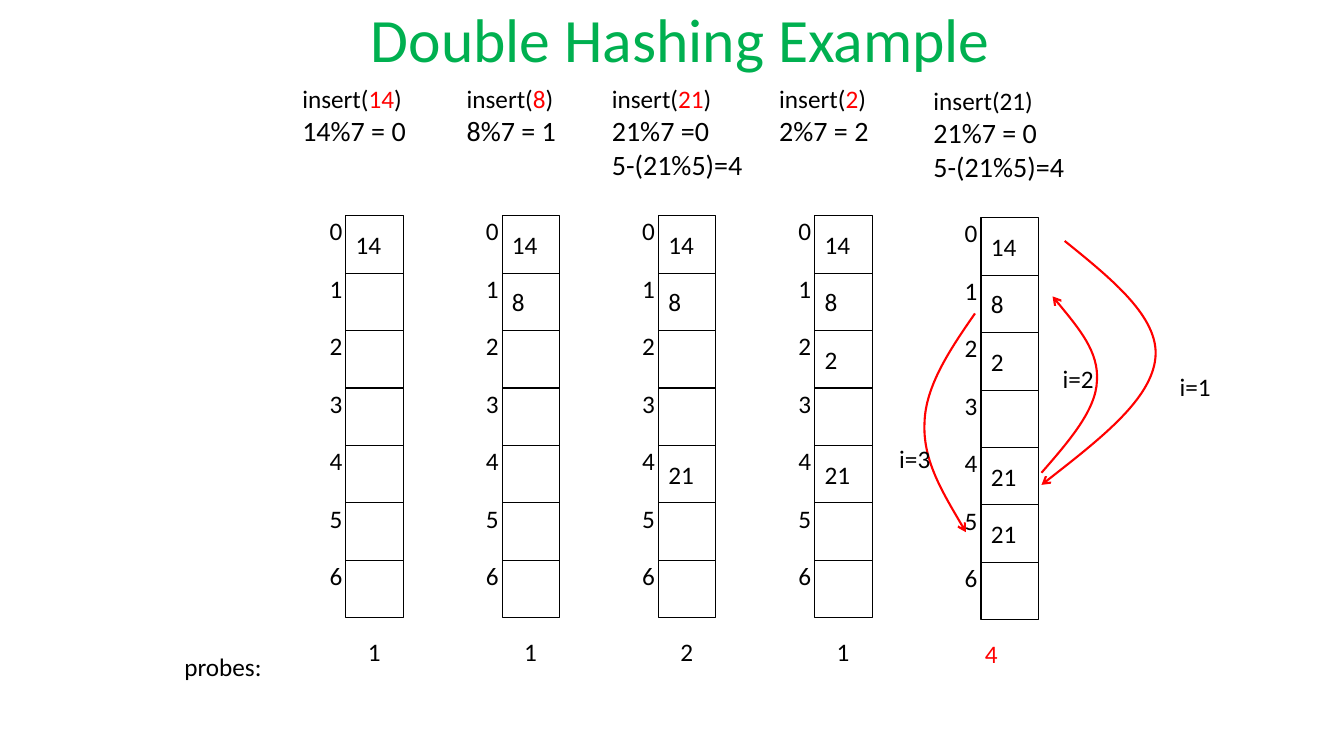
from lxml import etree
from pptx import Presentation
from pptx.dml.color import RGBColor
from pptx.enum.shapes import MSO_SHAPE
from pptx.enum.text import MSO_ANCHOR, MSO_AUTO_SIZE, PP_ALIGN
from pptx.oxml.ns import qn
from pptx.util import Inches, Pt

RECTANGLE = MSO_SHAPE.RECTANGLE
MIDDLE = MSO_ANCHOR.MIDDLE
CENTER, LEFT = PP_ALIGN.CENTER, PP_ALIGN.LEFT
NO_AUTOFIT, FIT_SHAPE = MSO_AUTO_SIZE.NONE, MSO_AUTO_SIZE.SHAPE_TO_FIT_TEXT

COLORS = {"title": "00B050", "text": "000000", "accent": "FF0000"}
FONT = "Calibri"
CELL = 0.57
ROWS = 7
FIRST_LEFT, COLUMN_PITCH = 3.43, 1.55
TABLE_TOP = 2.14
LABEL_WIDTH, LABEL_HEIGHT = 0.33, 0.4


def format_text(paragraph, size, color):
    for run in paragraph.runs:
        run.font.name = FONT
        run.font.size = Pt(size)
        run.font.color.rgb = RGBColor.from_string(COLORS[color])


def add_label(left, top, width, text, color="text"):
    label = slide.shapes.add_textbox(Inches(left), Inches(top), Inches(width), Inches(LABEL_HEIGHT))
    label.text_frame.text = text
    label.text_frame.word_wrap = False
    label.text_frame.auto_size = FIT_SHAPE
    for paragraph in label.text_frame.paragraphs:
        format_text(paragraph, 18, color)
    return label


presentation = Presentation()
presentation.slide_width = Inches(13.33)
presentation.slide_height = Inches(7.5)
slide = presentation.slides.add_slide(presentation.slide_layouts[5])

title = slide.shapes.title
title.left, title.top, title.width, title.height = Inches(2.5), 0, Inches(8.5), Inches(0.84)
title.text_frame.text = "Double Hashing Example"
title.text_frame.auto_size = NO_AUTOFIT
title.text_frame.vertical_anchor = MIDDLE
title.text_frame.paragraphs[0].alignment = CENTER
title.text_frame.paragraphs[0].line_spacing = 0.9
format_text(title.text_frame.paragraphs[0], 44, "title")

add_label(1.73, 6.41, 0.98, "probes:")

last_left = 9.73
lefts = [FIRST_LEFT + column * COLUMN_PITCH for column in range(4)] + [last_left]
steps = [
    ("14", ["14%7 = 0"], 2.9, 1.24, {0: 14}, "1"),
    ("8", ["8%7 = 1"], 4.53, 1.09, {0: 14, 1: 8}, "1"),
    ("21", ["21%7 =0", "5-(21%5)=4"], 5.97, 1.51, {0: 14, 1: 8, 4: 21}, "2"),
    ("2", ["2%7 = 2"], 7.63, 1.09, {0: 14, 1: 8, 2: 2, 4: 21}, "1"),
    ("21", ["21%7 = 0", "5-(21%5)=4"], 9.16, 1.51, {0: 14, 1: 8, 2: 2, 4: 21, 5: 21}, "4"),
]

for left, (key, formulas, header_left, header_width, values, probes) in zip(lefts, steps):
    is_last = left == last_left
    drop = 0.02 if is_last else 0
    top = TABLE_TOP + drop

    header = add_label(header_left, 0.78 + drop, header_width, "")
    insert_line = header.text_frame.paragraphs[0]
    for part in ("insert(", key, ")"):
        insert_line.add_run().text = part
    format_text(insert_line, 18, "text")
    if not is_last:
        insert_line.runs[1].font.color.rgb = RGBColor.from_string(COLORS["accent"])
    for formula in formulas:
        paragraph = header.text_frame.add_paragraph()
        paragraph.text = formula
        format_text(paragraph, 20, "text")

    for row in range(ROWS):
        row_top = top + row * CELL
        cell = slide.shapes.add_shape(RECTANGLE, Inches(left), Inches(row_top), Inches(CELL), Inches(CELL))
        cell.shadow.inherit = False
        cell.fill.background()
        cell.line.color.rgb = RGBColor.from_string(COLORS["text"])
        cell.line.width = Pt(0.75)
        cell.text_frame.text = str(values.get(row, ""))
        cell.text_frame.word_wrap = False
        cell.text_frame.vertical_anchor = MIDDLE
        cell.text_frame.paragraphs[0].alignment = LEFT
        format_text(cell.text_frame.paragraphs[0], 18, "text")
        add_label(left - 0.26, row_top - 0.05, LABEL_WIDTH, str(row))

    probes_left = left - 0.06 if is_last else left + 0.12
    add_label(probes_left, 6.26 + drop, LABEL_WIDTH, probes, "accent" if is_last else "text")

probe_curves = [
    [(10.56, 2.39), (11.03, 2.77), (11.5, 3.15), (11.46, 3.55), (11.42, 3.96), (10.88, 4.38), (10.33, 4.81)],
    [(10.33, 4.69), (10.6, 4.38), (10.87, 4.07), (10.88, 3.78), (10.9, 3.49), (10.67, 3.22), (10.44, 2.94)],
    [(9.67, 3.11), (9.42, 3.47), (9.18, 3.83), (9.17, 4.19), (9.15, 4.56), (9.37, 4.92), (9.58, 5.28)],
]
for curve_points in probe_curves:
    start, *controls = [(Inches(x), Inches(y)) for x, y in curve_points]
    builder = slide.shapes.build_freeform(*start)
    builder.add_line_segments(controls, close=False)
    curve = builder.convert_to_shape()
    curve.shadow.inherit = False
    curve.fill.background()
    curve.line.color.rgb = RGBColor.from_string(COLORS["accent"])
    curve.line.width = Pt(1.5)
    outline_format = next(curve.element.iter(qn("a:ln")))
    etree.SubElement(outline_format, qn("a:tailEnd"), type="arrow")
    segments = list(curve.element.iter(qn("a:lnTo")))
    outline = segments[0].getparent()
    for first in range(0, len(segments), 3):
        bezier = etree.SubElement(outline, qn("a:cubicBezTo"))
        for segment in segments[first:first + 3]:
            bezier.append(segment[0])
            outline.remove(segment)

for left, top, text in ((11.6, 3.63, "i=1"), (10.44, 3.56, "i=2"), (8.82, 4.35, "i=3")):
    add_label(left, top, 0.51, text)

presentation.save("out.pptx")
